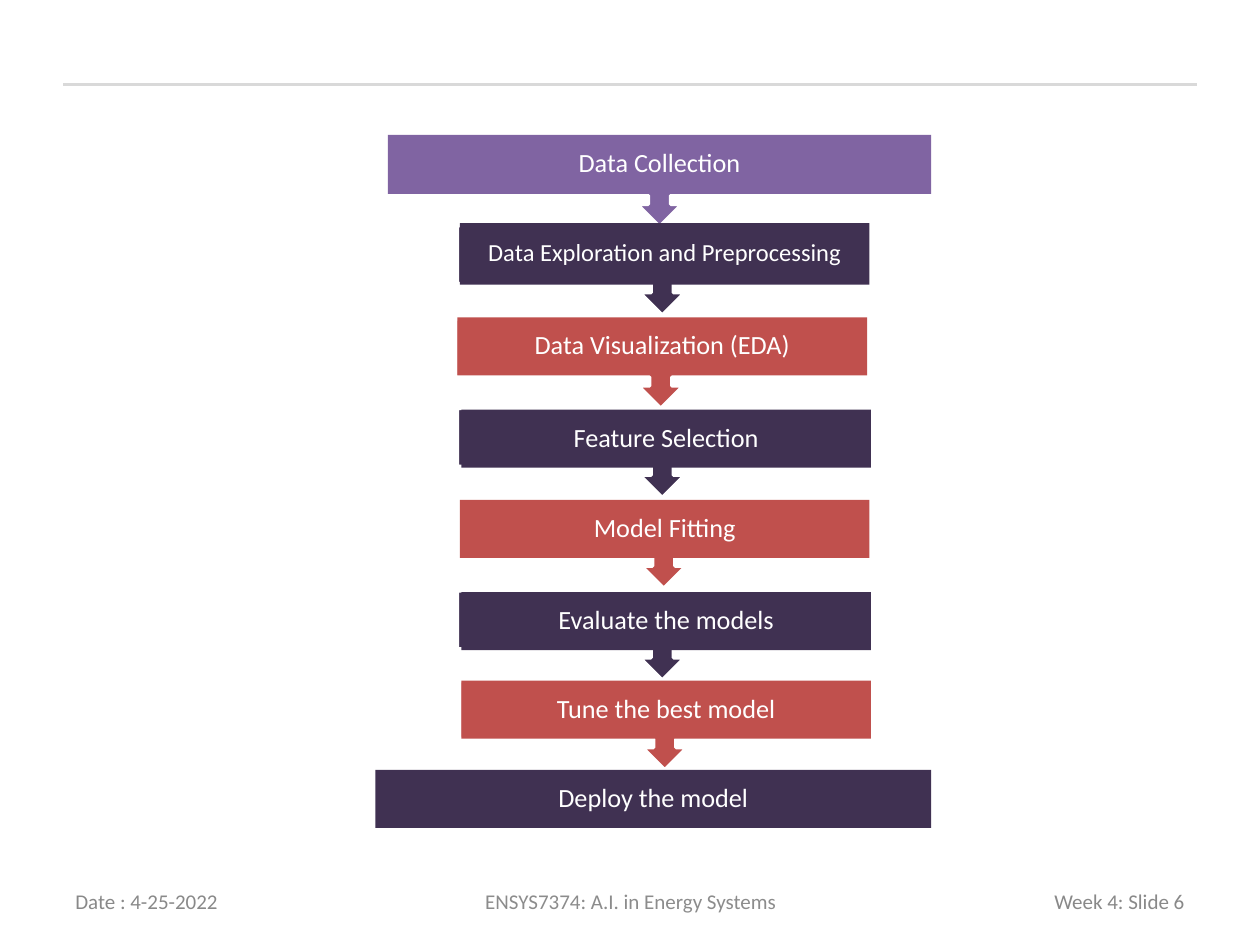
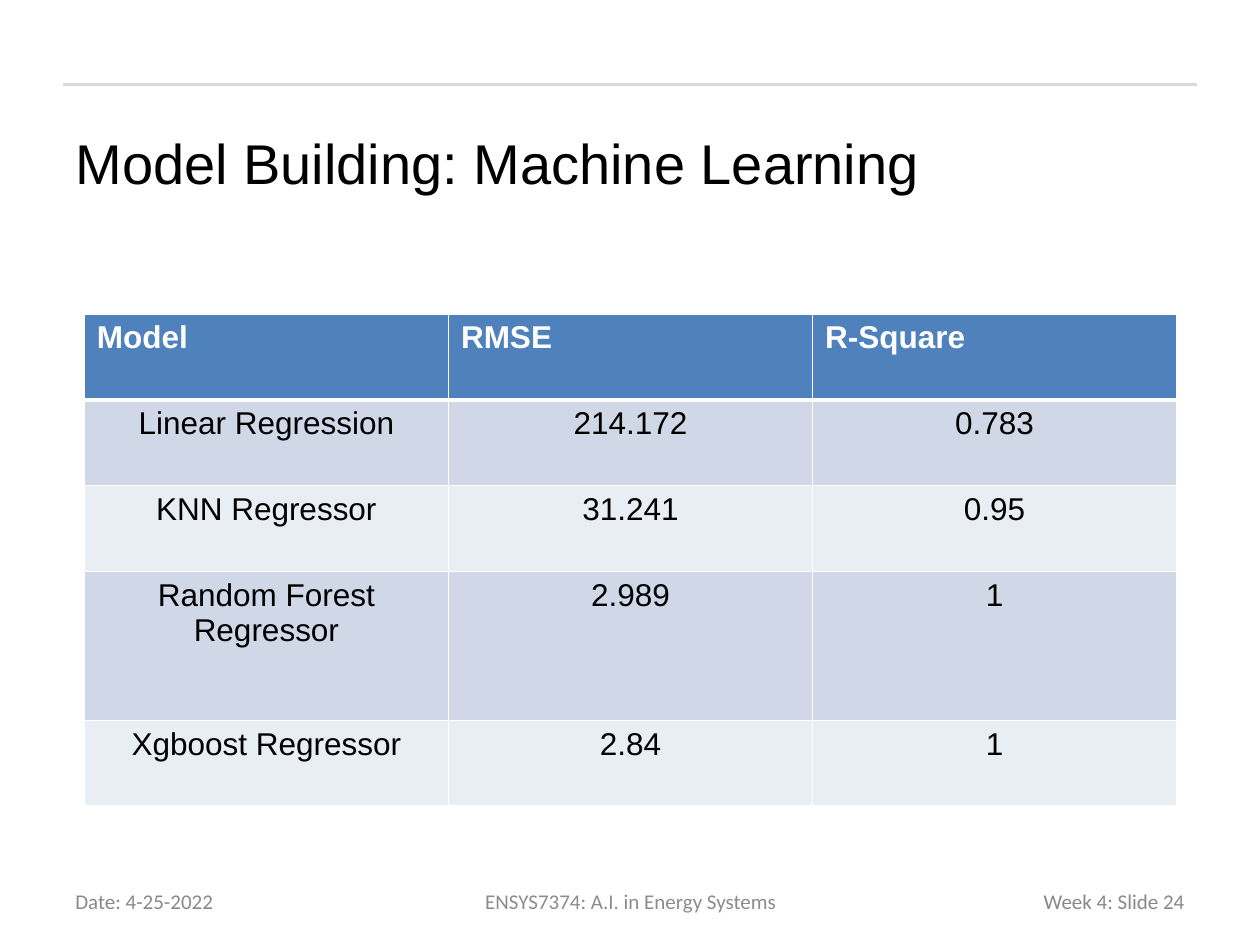
from lxml import etree
from pptx import Presentation
from pptx.dml.color import RGBColor
from pptx.enum.shapes import MSO_CONNECTOR, MSO_SHAPE
from pptx.enum.text import MSO_ANCHOR, PP_ALIGN
from pptx.oxml.ns import qn
from pptx.util import Cm, Pt

LEFT, CENTER, RIGHT = PP_ALIGN.LEFT, PP_ALIGN.CENTER, PP_ALIGN.RIGHT
MIDDLE, TOP = MSO_ANCHOR.MIDDLE, MSO_ANCHOR.TOP
RECTANGLE, ARROW_CALLOUT = MSO_SHAPE.RECTANGLE, MSO_SHAPE.UP_ARROW_CALLOUT

WHITE = RGBColor(0xFF, 0xFF, 0xFF)
BLACK = RGBColor(0x00, 0x00, 0x00)
RULE_GREY = RGBColor(0xD9, 0xD9, 0xD9)
FOOTER_GREY = RGBColor(0x89, 0x89, 0x89)
COURSE_GREY = RGBColor(0x8C, 0x8C, 0x8C)
PURPLE = RGBColor(0x80, 0x64, 0xA2)
PLUM = RGBColor(0x40, 0x31, 0x52)
RED = RGBColor(0xC0, 0x50, 0x4D)
HEADER_BLUE = RGBColor(0x4F, 0x81, 0xBD)
ROW_BANDS = (RGBColor(0xD0, 0xD8, 0xE8), RGBColor(0xE9, 0xED, 0xF4))

# Content (lengths in cm)
COURSE = "ENSYS7374: A.I. in Energy Systems"
STEP_WIDTH, STEP_HEIGHT, CALLOUT_HEIGHT = 8.26, 1.17, 1.8
# text, colour, font size, box (left, top, width, height), callout (left, top)
STEPS = [
    ("Data Collection", PURPLE, 15, (7.82, 2.72, 10.95, 1.19), (7.82, 2.77)),
    ("Data Exploration and Preprocessing", PLUM, 14,
     (9.27, 4.5, STEP_WIDTH, 1.24), (9.22, 4.55)),
    ("Data Visualization (EDA)", RED, 15,
     (9.22, 6.4, STEP_WIDTH, STEP_HEIGHT), (9.19, 6.43)),
    ("Feature Selection", PLUM, 15,
     (9.3, 8.26, STEP_WIDTH, STEP_HEIGHT), (9.22, 8.23)),
    ("Model Fitting", RED, 15,
     (9.27, 10.08, STEP_WIDTH, STEP_HEIGHT), (9.25, 10.06)),
    ("Evaluate the models", PLUM, 15,
     (9.3, 11.94, STEP_WIDTH, STEP_HEIGHT), (9.22, 11.91)),
    ("Tune the best model", RED, 15,
     (9.3, 13.72, STEP_WIDTH, STEP_HEIGHT), (9.27, 13.72)),
    ("Deploy the model", PLUM, 15, (7.57, 15.52, 11.2, STEP_HEIGHT), None),
]
TITLE = "Model Building: Machine Learning"
SCORES = [
    ("Model", "RMSE", "R-Square"),
    ("Linear Regression", "214.172", "0.783"),
    ("KNN Regressor", "31.241", "0.95"),
    ("Random Forest Regressor", "2.989", "1"),
    ("Xgboost Regressor", "2.84", "1"),
]
SCORE_ROW_HEIGHTS = (1.73, 1.73, 1.73, 3, 1.73)


def write(frame, text, size, color, font="Calibri", align=LEFT, bold=False):
    paragraph = frame.paragraphs[0]
    paragraph.alignment = align
    run = paragraph.add_run()
    run.text = text
    run.font.name, run.font.size, run.font.bold = font, Pt(size), bold
    run.font.color.rgb = color
    return paragraph


def add_text(slide, box, text, size, color, anchor=MIDDLE, **style):
    frame = slide.shapes.add_textbox(*map(Cm, box)).text_frame
    frame.word_wrap = True
    frame.vertical_anchor = anchor
    write(frame, text, size, color, **style)
    return frame


def add_block(slide, preset, box, color):
    block = slide.shapes.add_shape(preset, *map(Cm, box))
    block.shadow.inherit = False
    block.fill.solid()
    block.fill.fore_color.rgb = color
    return block


def add_slide(prs, date, number):
    """Blank slide with the shared rule and footers."""
    slide = prs.slides.add_slide(prs.slide_layouts[6])
    rule = slide.shapes.add_connector(
        MSO_CONNECTOR.STRAIGHT, Cm(1.27), Cm(1.7), Cm(24.13), Cm(1.7))
    rule.line.color.rgb = RULE_GREY
    rule.line.width = Pt(2)
    etree.SubElement(rule._element.spPr, qn("a:effectLst"))
    for left, width, text, color, align in (
            (8.69, 8.05, COURSE, COURSE_GREY, CENTER),
            (1.27, 5.92, date, FOOTER_GREY, LEFT),
            (18.21, 5.92, f"Week 4: Slide {number}", FOOTER_GREY, RIGHT)):
        add_text(slide, (left, 17.65, width, 1.02), text, 12, color, align=align)
    return slide


def add_workflow(slide):
    # Arrows go behind the step boxes
    for _, color, _, box, callout in STEPS:
        if callout:
            arrow = add_block(slide, ARROW_CALLOUT,
                              (*callout, box[2], CALLOUT_HEIGHT), color)
            arrow.rotation = 180
            arrow.line.color.rgb = WHITE
            arrow.line.width = Pt(2)
    for text, color, size, box, _ in STEPS:
        step = add_block(slide, RECTANGLE, box, color)
        step.line.fill.background()
        frame = step.text_frame
        frame.word_wrap = True
        frame.vertical_anchor = MIDDLE
        frame.margin_left = frame.margin_right = Cm(0.3)
        frame.margin_top = frame.margin_bottom = Cm(0.3)
        write(frame, text, size, WHITE, align=CENTER).line_spacing = 0.9


def set_borders(cell, widths):
    properties = cell._tc.get_or_add_tcPr()
    for index, (side, width) in enumerate(widths.items()):
        line = etree.Element(qn(f"a:{side}"), w=str(Pt(width)))
        fill = etree.SubElement(line, qn("a:solidFill"))
        etree.SubElement(fill, qn("a:srgbClr"), val=str(WHITE))
        properties.insert(index, line)


def add_scores(slide):
    table = slide.shapes.add_table(
        len(SCORES), len(SCORES[0]), Cm(1.7), Cm(6.33),
        Cm(22.02), Cm(sum(SCORE_ROW_HEIGHTS))).table
    for column in table.columns:
        column.width = Cm(7.34)
    for r, (row, height) in enumerate(zip(SCORES, SCORE_ROW_HEIGHTS)):
        header = r == 0
        table.rows[r].height = Cm(height)
        for c, text in enumerate(row):
            cell = table.cell(r, c)
            cell.vertical_anchor = TOP
            cell.fill.solid()
            cell.fill.fore_color.rgb = HEADER_BLUE if header else ROW_BANDS[(r - 1) % 2]
            set_borders(cell, {"lnL": 1, "lnR": 1, "lnT": 3 if r == 1 else 1,
                               "lnB": 3 if header else 1})
            write(cell.text_frame, text, 18, WHITE if header else BLACK,
                  font="Arial", align=LEFT if header else CENTER, bold=header)


def main():
    prs = Presentation()
    prs.slide_width, prs.slide_height = Cm(25.4), Cm(19.05)

    # Workflow
    add_workflow(add_slide(prs, "Date : 4-25-2022", 6))

    # Model scores
    scores_slide = add_slide(prs, "Date: 4-25-2022", 24)
    title = add_text(scores_slide, (1.27, 2.34, 22.86, 2.5), TITLE, 32, BLACK,
                     anchor=TOP, font="Arial")
    title.margin_top = Cm(0.25)
    add_scores(scores_slide)

    prs.save("out.pptx")


if __name__ == "__main__":
    main()
